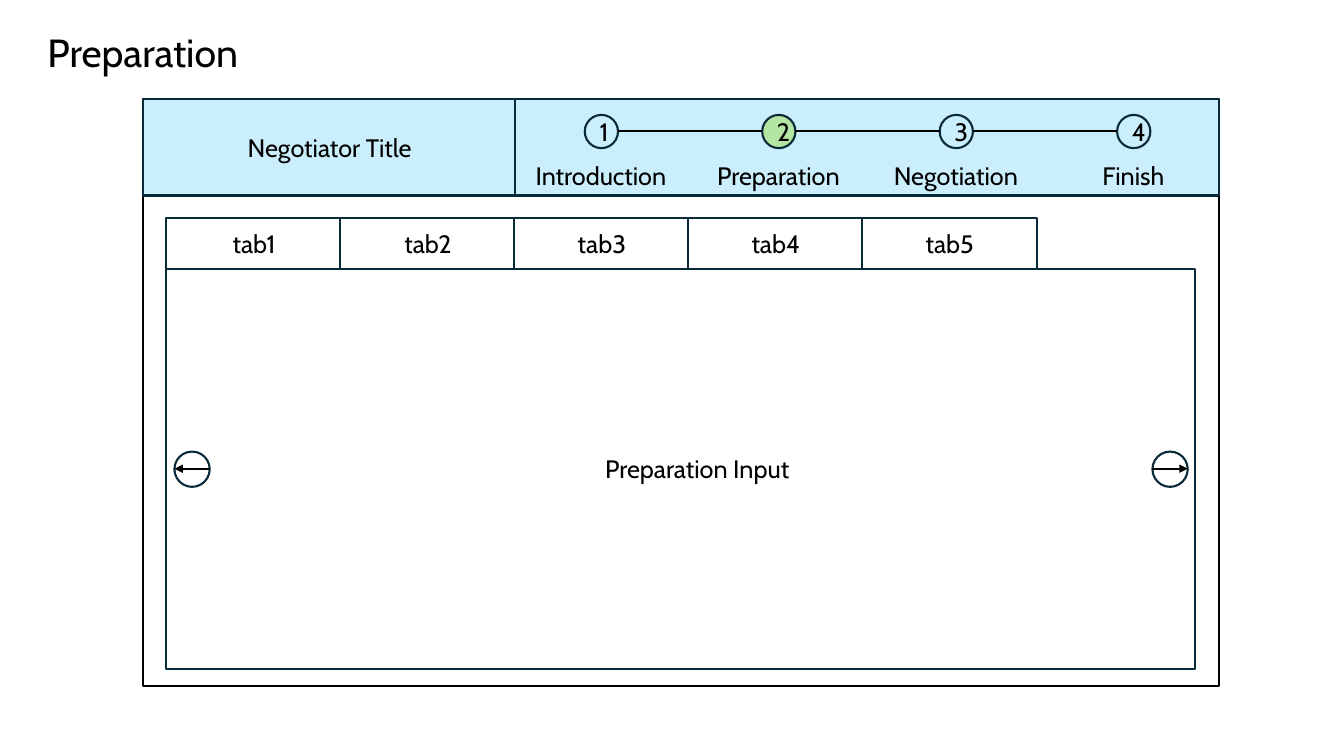
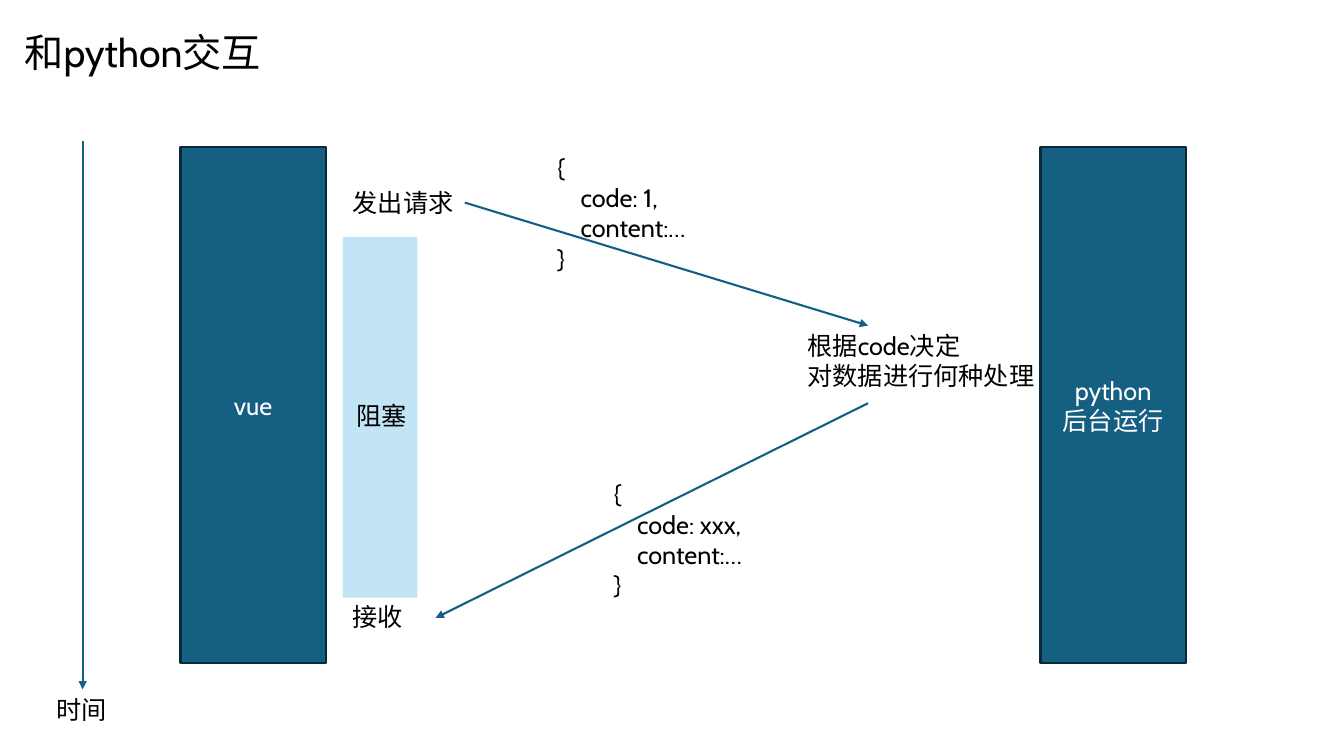
from lxml import etree
from pptx import Presentation
from pptx.dml.color import RGBColor
from pptx.enum.shapes import MSO_CONNECTOR, MSO_SHAPE
from pptx.enum.text import MSO_ANCHOR, MSO_AUTO_SIZE, PP_ALIGN
from pptx.oxml.ns import qn
from pptx.util import Inches, Pt

RECT, OVAL = MSO_SHAPE.RECTANGLE, MSO_SHAPE.OVAL
STRAIGHT = MSO_CONNECTOR.STRAIGHT
MIDDLE, TOP = MSO_ANCHOR.MIDDLE, MSO_ANCHOR.TOP
LEFT, CENTER = PP_ALIGN.LEFT, PP_ALIGN.CENTER
GROW = MSO_AUTO_SIZE.SHAPE_TO_FIT_TEXT

# Theme: colours, type and line sizes, title place
THEME = {
    "black": RGBColor.from_string("000000"),
    "white": RGBColor.from_string("FFFFFF"),
    "edge": RGBColor.from_string("092A39"),
    "blue": RGBColor.from_string("156082"),
    "band": RGBColor.from_string("CAEEFB"),
    "block": RGBColor.from_string("C1E5F5"),
    "green": RGBColor.from_string("B4E5A2"),
    "body": {"name": "Cabin", "size": Pt(18)},
    "title": {"name": "Cabin", "size": Pt(28)},
    "stroke": Pt(1.5),
    "title_at": (-1.31, 0.23, 5.45, 0.57),
}


def add_box(shapes, at, text="", kind=None, fill=None, line="edge",
            color="black", style="body", align=CENTER, wrap=True):
    """Add a preset shape, or a text box when no kind is given."""
    place = [Inches(n) for n in at]
    if kind is None:
        box = shapes.add_textbox(*place)
    else:
        box = shapes.add_shape(kind, *place)
        box.shadow.inherit = False
        for part, tint in ((box.fill, fill), (box.line.fill, line)):
            if tint:
                part.solid()
                part.fore_color.rgb = THEME[tint]
            else:
                part.background()
        box.line.width = THEME["stroke"] if line else 0
    if not text:
        return
    frame = box.text_frame
    look = {"word_wrap": wrap, "vertical_anchor": MIDDLE if kind else TOP}
    if kind is None:
        look["auto_size"] = GROW
    for key, value in look.items():
        setattr(frame, key, value)
    for i, words in enumerate(text.split("\n")):
        para = frame.paragraphs[0] if i == 0 else frame.add_paragraph()
        para.alignment = align
        run = para.add_run()
        run.text = words.lstrip("\t")
        if words.startswith("\t"):
            para._p.get_or_add_pPr().set("marL", str(Inches(0.23)))
        for key, value in THEME[style].items():
            setattr(run.font, key, value)
        run.font.color.rgb = THEME[color]


def add_line(shapes, start, end, color="black", arrow=True):
    """Add a straight line, with an arrowhead at its end if wanted."""
    wire = shapes.add_connector(STRAIGHT, *[Inches(n) for n in start + end])
    wire.line.color.rgb = THEME[color]
    wire.line.width = THEME["stroke"]
    props = wire.element.spPr
    if arrow:
        etree.SubElement(props.find(qn("a:ln")), qn("a:tailEnd"), type="triangle")
    etree.SubElement(props, qn("a:effectLst"))


deck = Presentation()
deck.slide_width, deck.slide_height = Inches(13.33), Inches(7.5)

# Both slides and their titles
pages = []
for title in ("Preparation", "和python交互"):
    page = deck.slides.add_slide(deck.slide_layouts[6]).shapes
    add_box(page, THEME["title_at"], title, style="title")
    pages.append(page)
screen, flow = pages

# Screen: window frame and header band
add_box(screen, (1.42, 0.98, 10.67, 5.83), kind=RECT, line="black")
add_box(screen, (1.42, 0.98, 10.67, 0.96), kind=RECT, fill="band")
add_box(screen, (1.42, 0.98, 3.69, 0.96), kind=RECT)
add_box(screen, (2.08, 1.26, 2.38, 0.4), "Negotiator Title")

# Screen: numbered steps
steps = screen.add_group_shape().shapes
names = ("Introduction", "Preparation", "Negotiation", "Finish")
dot, pitch = 0.33, 1.76
for i, name in enumerate(names):
    left = 5.8 + i * pitch
    add_box(steps, (left, 1.14, dot, dot), str(i + 1), OVAL,
            fill="green" if name == "Preparation" else None)
    add_box(steps, (left - 0.65, 1.54, 1.62, 0.4), name)
    if i:
        add_line(steps, (left - pitch + dot, 1.3), (left, 1.3), arrow=False)

# Screen: input panel and tabs
add_box(screen, (1.65, 2.67, 10.2, 3.97), kind=RECT, fill="white")
for i in range(5):
    add_box(screen, (1.65 + i * 6.9 / 4, 2.16, 1.74, 0.51), f"tab{i + 1}",
            RECT, fill="white")
add_box(screen, (4.76, 4.45, 4.31, 0.4), "Preparation Input")

# Screen: back and next buttons
size = 0.35
for left, start, end in ((1.73, size, 0), (11.43, 0, size)):
    button = screen.add_group_shape().shapes
    add_box(button, (left, 4.48, size, size), kind=OVAL, fill="white")
    add_line(button, (left + start, 4.65), (left + end, 4.65))

# Flow: blocked period and the two sides
add_box(flow, (3.4, 2.35, 0.74, 3.58), kind=RECT, fill="block", line=None)
for left, name in ((1.79, "vue"), (10.32, "python\n后台运行")):
    add_box(flow, (left, 1.46, 1.44, 5.12), name, RECT, fill="blue", color="white")

# Flow: request, time axis and reply
for start, end in (((4.61, 2.01), (8.61, 3.23)),
                   ((0.82, 1.4), (0.82, 6.84)),
                   ((8.61, 4), (4.32, 6.13))):
    add_line(flow, start, end, "blue")

# Flow: labels
for at, text in (((0.46, 6.84, 0.71, 0.4), "时间"),
                 ((3.4, 1.81, 1.21, 0.4), "发出请求"),
                 ((3.44, 3.92, 0.71, 0.4), "阻塞"),
                 ((3.4, 5.92, 0.71, 0.4), "接收"),
                 ((7.91, 3.23, 2.47, 0.71), "根据code决定\n对数据进行何种处理")):
    add_box(flow, at, text, align=LEFT, wrap=False)

# Flow: messages
for left, top, code in ((5.43, 1.46, "1"), (5.99, 4.7, "xxx")):
    add_box(flow, (left, top, 2.31, 1.31),
            f"{{\n\tcode: {code},\n\tcontent:…\n}}", align=LEFT)

deck.save("out.pptx")
